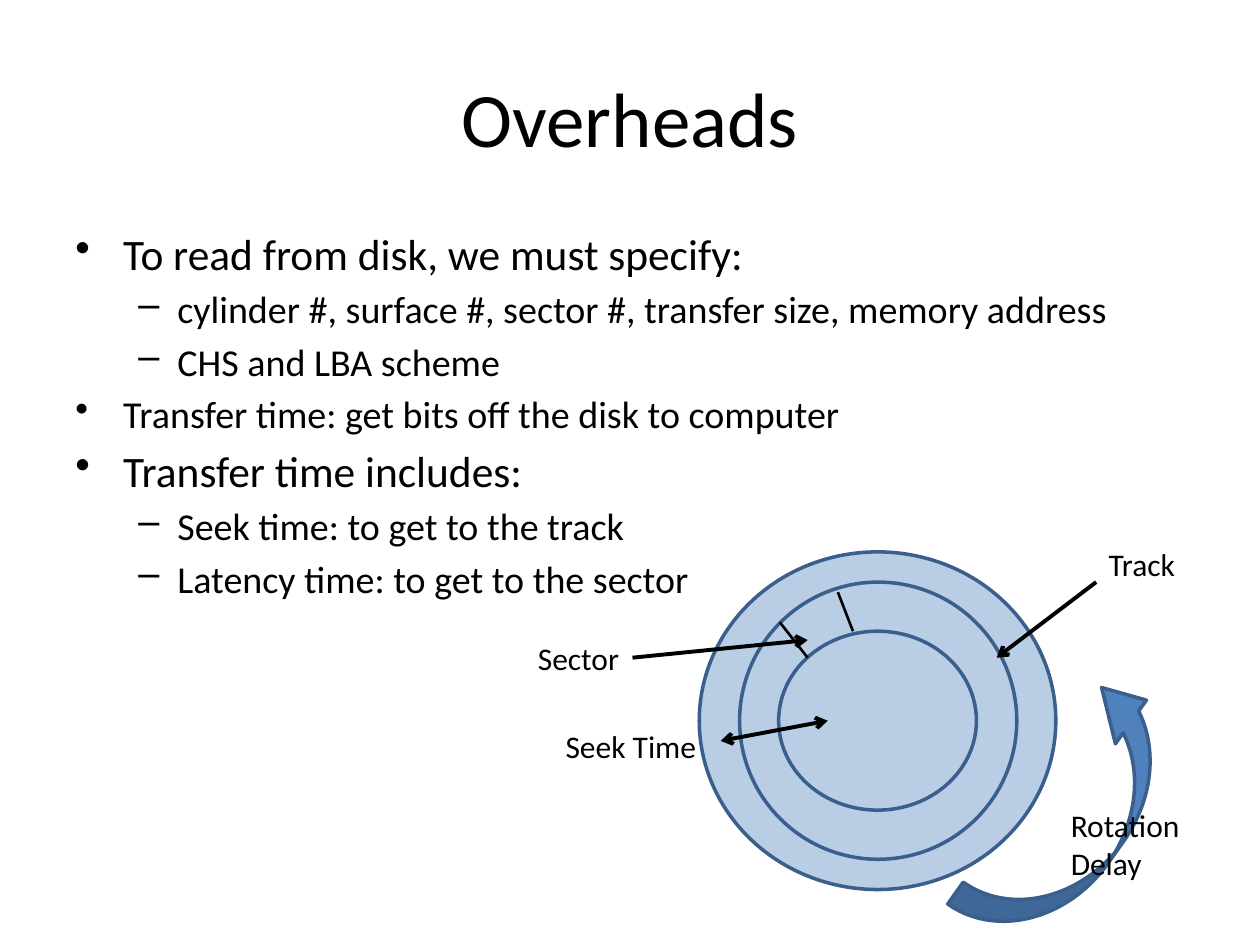
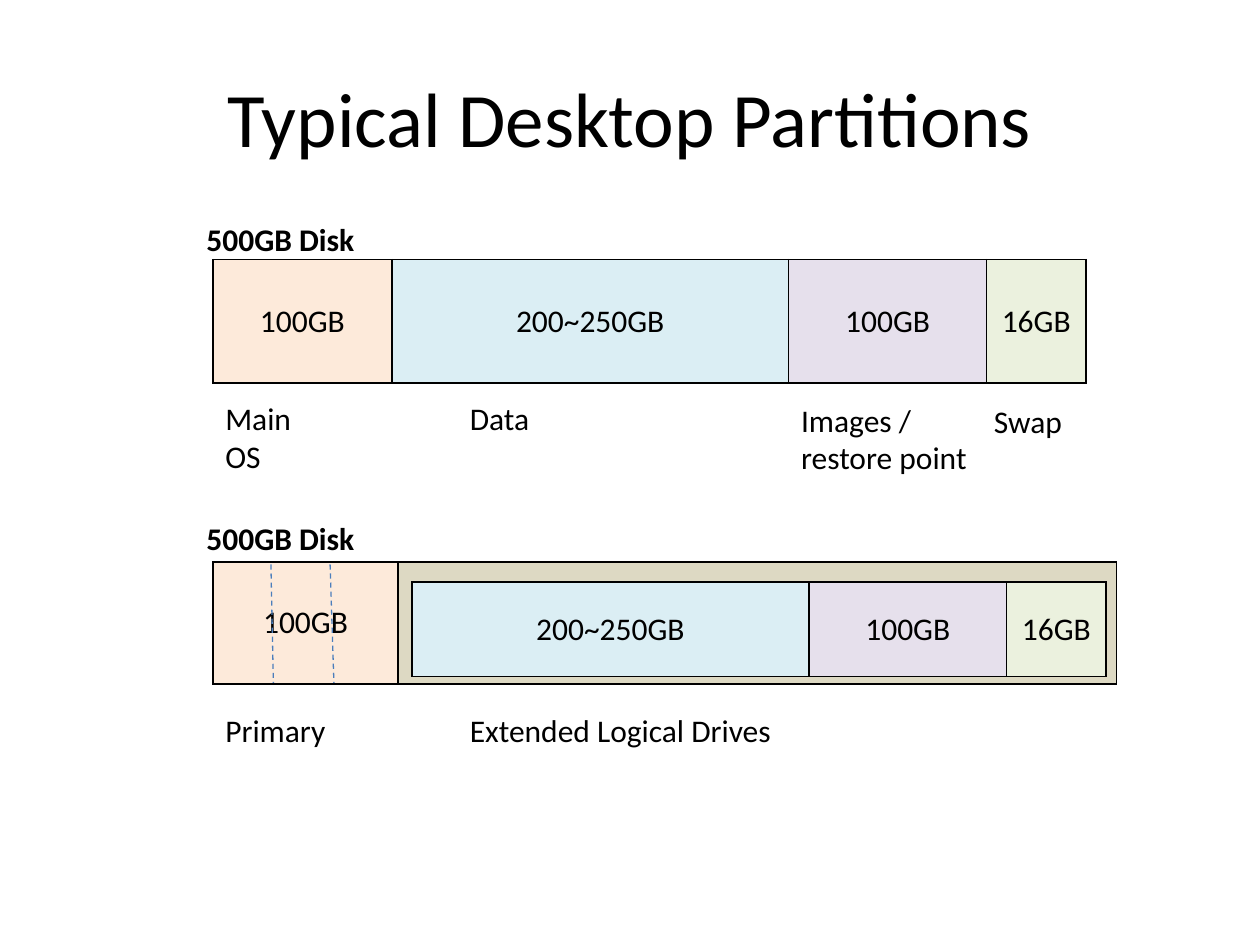
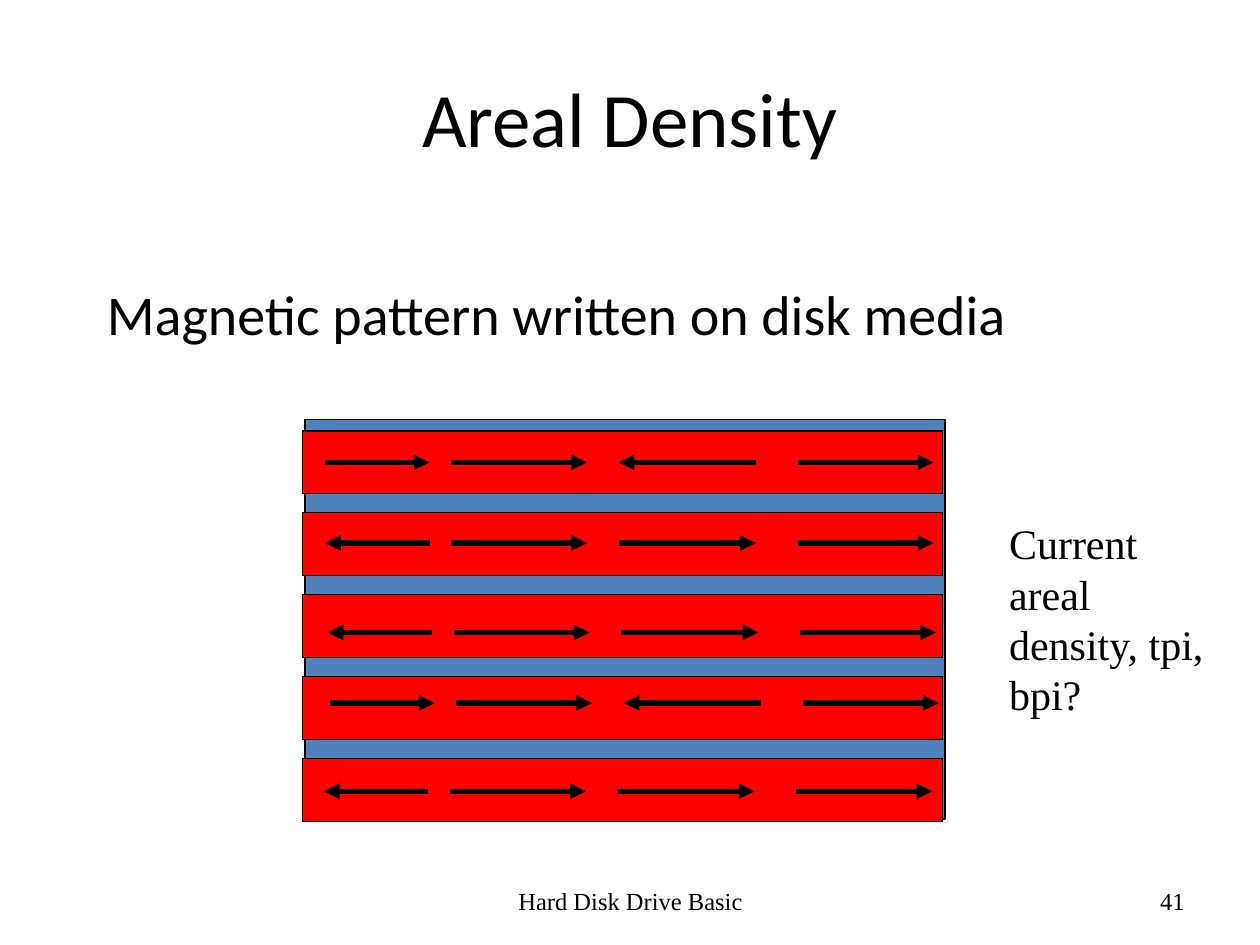
from lxml import etree
from pptx import Presentation
from pptx.dml.color import RGBColor
from pptx.enum.dml import MSO_LINE
from pptx.enum.shapes import MSO_CONNECTOR, MSO_SHAPE
from pptx.enum.text import MSO_ANCHOR, PP_ALIGN
from pptx.oxml.ns import qn
from pptx.util import Inches, Pt

STRAIGHT = MSO_CONNECTOR.STRAIGHT
RECT, OVAL, CURVED = MSO_SHAPE.RECTANGLE, MSO_SHAPE.OVAL, MSO_SHAPE.CURVED_UP_ARROW
LEFT, CENTER, RIGHT = PP_ALIGN.LEFT, PP_ALIGN.CENTER, PP_ALIGN.RIGHT
TOP, MIDDLE = MSO_ANCHOR.TOP, MSO_ANCHOR.MIDDLE
DASH = MSO_LINE.DASH

BLACK = RGBColor(0x00, 0x00, 0x00)
BLUE = RGBColor(0x4F, 0x81, 0xBD)
DARK_BLUE = RGBColor(0x3A, 0x5F, 0x8C)
DIVIDER_BLUE = RGBColor(0x4B, 0x7E, 0xBC)
PLATTER = RGBColor(0xB9, 0xCD, 0xE5)
RED = RGBColor(0xFF, 0x00, 0x00)
PEACH = RGBColor(0xFD, 0xEA, 0xDA)
AQUA = RGBColor(0xDB, 0xEE, 0xF4)
LILAC = RGBColor(0xE6, 0xE0, 0xEC)
GREEN = RGBColor(0xEB, 0xF1, 0xDE)
TAN = RGBColor(0xDD, 0xD9, 0xC3)
SANS, SERIF = "Calibri", "Times New Roman"

# Overheads: (level, size, text)
OVERHEADS = [
    (0, 24.8, "To read from disk, we must specify:"),
    (1, 21.7, "cylinder #, surface #, sector #, transfer size, memory address"),
    (1, 21.7, "CHS and LBA scheme"),
    (0, 21.7, "Transfer time: get bits off the disk to computer"),
    (0, 24.8, "Transfer time includes:"),
    (1, 21.7, "Seek time: to get to the track"),
    (1, 21.7, "Latency time: to get to the sector"),
]
BULLETS = [("•", 0.38, -0.38), ("–", 0.81, -0.31)]  # mark, margin, indent
RINGS = [(5.55, 4.38, 2.83, 2.68), (5.87, 4.62, 2.2, 2.2), (6.18, 5.01, 1.57, 1.42)]
SECTOR_EDGES = [((6.19, 4.94), (6.41, 5.22)), ((6.65, 4.7), (6.77, 5.01))]

# Partitions: (size, width, fill)
PARTITIONS = [("100GB", 1.42, PEACH), ("200~250GB", 3.15, AQUA),
              ("100GB", 1.57, LILAC), ("16GB", 0.79, GREEN)]
EXTENDED_DISK = [("100GB", 1.47, PEACH), ("", 5.7, TAN)]
DISK_LEFT = 1.69
DISK_NAME = "500GB Disk"
PARTITION_LABELS = [
    (["Main OS"], (DISK_LEFT, 3.12, 0.96, 0.4)),
    (["Data"], (3.63, 3.12, 0.68, 0.4)),
    (["Images /", "restore point"], (6.26, 3.13, 1.53, 0.71)),
    (["Swap"], (7.79, 3.14, 0.83, 0.4)),
    (["Primary"], (DISK_LEFT, 5.59, 1, 0.4)),
    (["Extended Logical Drives"], (3.63, 5.59, 2.62, 0.4)),
]
PRIMARY_DIVIDERS = [(2.15, 2.17), (2.62, 2.65)]

# Magnetic tracks: (first arrow left, arrow height, directions)
TRACKS = [(2.58, 3.67, "><"[0] * 2 + "<>"), (2.58, 4.31, "<>>>"), (2.6, 5.02, "<>>>"),
          (2.62, 5.58, ">><>"), (2.57, 6.28, "<>>>")]
TRACK_TOP, TRACK_PITCH = 3.42, 0.65
ARROW_SPANS = [(0, 0.83), (1, 2.08), (2.33, 3.42), (3.75, 4.83)]


def style(p, text, size=18, font=SANS, bold=False, align=LEFT):
    p.alignment = align
    r = p.add_run()
    r.text = text
    r.font.size, r.font.name, r.font.bold = Pt(size), font, bold
    r.font.color.rgb = BLACK


def add_text(s, lines, box, anchor=TOP, wrap=False, **fmt):
    sp = s.shapes.add_textbox(*map(Inches, box))
    tf = sp.text_frame
    tf.word_wrap = wrap
    tf.vertical_anchor = anchor
    for i, line in enumerate(lines):
        style(tf.paragraphs[0] if i == 0 else tf.add_paragraph(), line, **fmt)
    return sp


def add_bullets(s, items, box):
    tf = s.shapes.add_textbox(*map(Inches, box)).text_frame
    tf.word_wrap = True
    for i, (level, size, text) in enumerate(items):
        p = tf.paragraphs[0] if i == 0 else tf.add_paragraph()
        mark, margin, indent = BULLETS[level]
        pPr = p._p.get_or_add_pPr()
        pPr.set("marL", str(Inches(margin)))
        pPr.set("indent", str(Inches(indent)))
        etree.SubElement(pPr, qn("a:buChar")).set("char", mark)
        p.level = level
        if i:
            p.space_before = Pt(size * 0.18)
        style(p, text, size=size)


def add_shape(s, kind, box, fill, line=BLACK, width=0.75):
    sp = s.shapes.add_shape(kind, *map(Inches, box))
    sp.shadow.inherit = False
    sp.fill.solid()
    sp.fill.fore_color.rgb = fill
    sp.line.color.rgb = line
    sp.line.width = Pt(width)
    return sp


def add_line(s, start, end, width, color=BLACK, head=None, tail=None, dash=None):
    c = s.shapes.add_connector(STRAIGHT, *map(Inches, start + end))
    c.line.color.rgb = color
    c.line.width = Pt(width)
    if dash:
        c.line.dash_style = dash
    ln = c.line._get_or_add_ln()
    for tag, kind in (("a:headEnd", head), ("a:tailEnd", tail)):
        if kind:
            etree.SubElement(ln, qn(tag)).set("type", kind)
    etree.SubElement(c._element.spPr, qn("a:effectLst"))
    return c


def add_border(cell):
    tcPr = cell._tc.get_or_add_tcPr()
    for i, side in enumerate(("a:lnL", "a:lnR", "a:lnT", "a:lnB")):
        ln = etree.Element(qn(side), w=str(Pt(1)))
        fill = etree.SubElement(ln, qn("a:solidFill"))
        etree.SubElement(fill, qn("a:srgbClr")).set("val", str(BLACK))
        tcPr.insert(i, ln)


def add_disk(s, parts, left, top, height):
    """One-row table with a cell for each partition."""
    total = sum(width for _, width, _ in parts)
    table = s.shapes.add_table(1, len(parts), *map(Inches, (left, top, total, height))).table
    table.first_row = table.horz_banding = False
    for i, (size, width, fill) in enumerate(parts):
        table.columns[i].width = Inches(width)
        cell = table.cell(0, i)
        cell.vertical_anchor = MIDDLE
        cell.fill.solid()
        cell.fill.fore_color.rgb = fill
        add_border(cell)
        if size:
            style(cell.text_frame.paragraphs[0], size, align=CENTER)


def add_slide(prs, title):
    s = prs.slides.add_slide(prs.slide_layouts[6])
    add_text(s, [title], (0.5, 0.3, 9, 1.25), anchor=MIDDLE, wrap=True, size=44, align=CENTER)
    return s


def overheads(prs):
    s = add_slide(prs, "Overheads")
    add_bullets(s, OVERHEADS, (0.5, 1.75, 9, 2.94))
    for ring in RINGS:
        add_shape(s, OVAL, ring, PLATTER, DARK_BLUE, 2)
    for start, end in SECTOR_EDGES:
        add_line(s, start, end, 1.5)
    sector = add_text(s, ["Sector"], (4.17, 5.02, 0.85, 0.4))
    add_text(s, ["Track"], (8.7, 4.28, 0.73, 0.4))
    add_line(s, (8.7, 4.62), (7.91, 5.22), 2.25, tail="arrow")
    pointer = add_line(s, (5.02, 5.22), (6.41, 5.08), 2.25, tail="arrow")
    pointer.begin_connect(sector, 3)
    add_text(s, ["Seek Time"], (4.39, 5.72, 1.25, 0.4))
    add_line(s, (5.72, 5.88), (6.57, 5.72), 2.25, head="arrow", tail="arrow")
    rotation = add_shape(s, CURVED, (7.38, 6.05, 2.32, 0.85), BLUE, DARK_BLUE, 2)
    rotation.rotation = 305.4
    rotation.adjustments[2] = 0.41
    add_text(s, ["Rotation", "Delay"], (8.4, 6.35, 1.33, 0.71), wrap=True)


def partitions(prs):
    s = add_slide(prs, "Typical Desktop Partitions")
    for top in (1.7, 4.07):
        add_text(s, [DISK_NAME], (1.54, top, 1.39, 0.4), bold=True)
    add_disk(s, PARTITIONS, DISK_LEFT, 2.06, 0.98)
    add_disk(s, EXTENDED_DISK, DISK_LEFT, 4.46, 0.97)
    add_disk(s, PARTITIONS[1:], 3.27, 4.62, 0.75)
    for lines, box in PARTITION_LABELS:
        add_text(s, lines, box)
    for x_top, x_bottom in PRIMARY_DIVIDERS:
        add_line(s, (x_top, 4.48), (x_bottom, 5.42), 0.75, DIVIDER_BLUE, dash=DASH)


def areal_density(prs):
    s = add_slide(prs, "Areal Density")
    add_text(s, ["Magnetic pattern written on disk media"], (0.75, 2.17, 8.33, 0.75),
             wrap=True, size=32)
    footer = dict(anchor=MIDDLE, wrap=True, size=14, font=SERIF)
    add_text(s, ["Hard Disk Drive Basic"], (3.42, 6.95, 3.17, 0.4), align=CENTER, **footer)
    add_text(s, ["41"], (7.17, 6.95, 2.33, 0.4), align=RIGHT, **footer)
    add_shape(s, RECT, (2.42, 3.33, 5.08, 3.17), BLUE)
    for i, (left, y, directions) in enumerate(TRACKS):
        add_shape(s, RECT, (2.4, TRACK_TOP + i * TRACK_PITCH, 5.08, 0.5), RED)
        for (start, end), direction in zip(ARROW_SPANS, directions):
            side = "head" if direction == "<" else "tail"
            add_line(s, (left + start, y), (left + end, y), 3, **{side: "triangle"})
    add_text(s, ["Current areal density, tpi, bpi?"], (7.91, 4.06, 1.81, 1.7),
             wrap=True, size=24, font=SERIF)


def main():
    prs = Presentation()
    prs.slide_width, prs.slide_height = Inches(10), Inches(7.5)
    overheads(prs)
    partitions(prs)
    areal_density(prs)
    prs.save("out.pptx")


if __name__ == "__main__":
    main()
